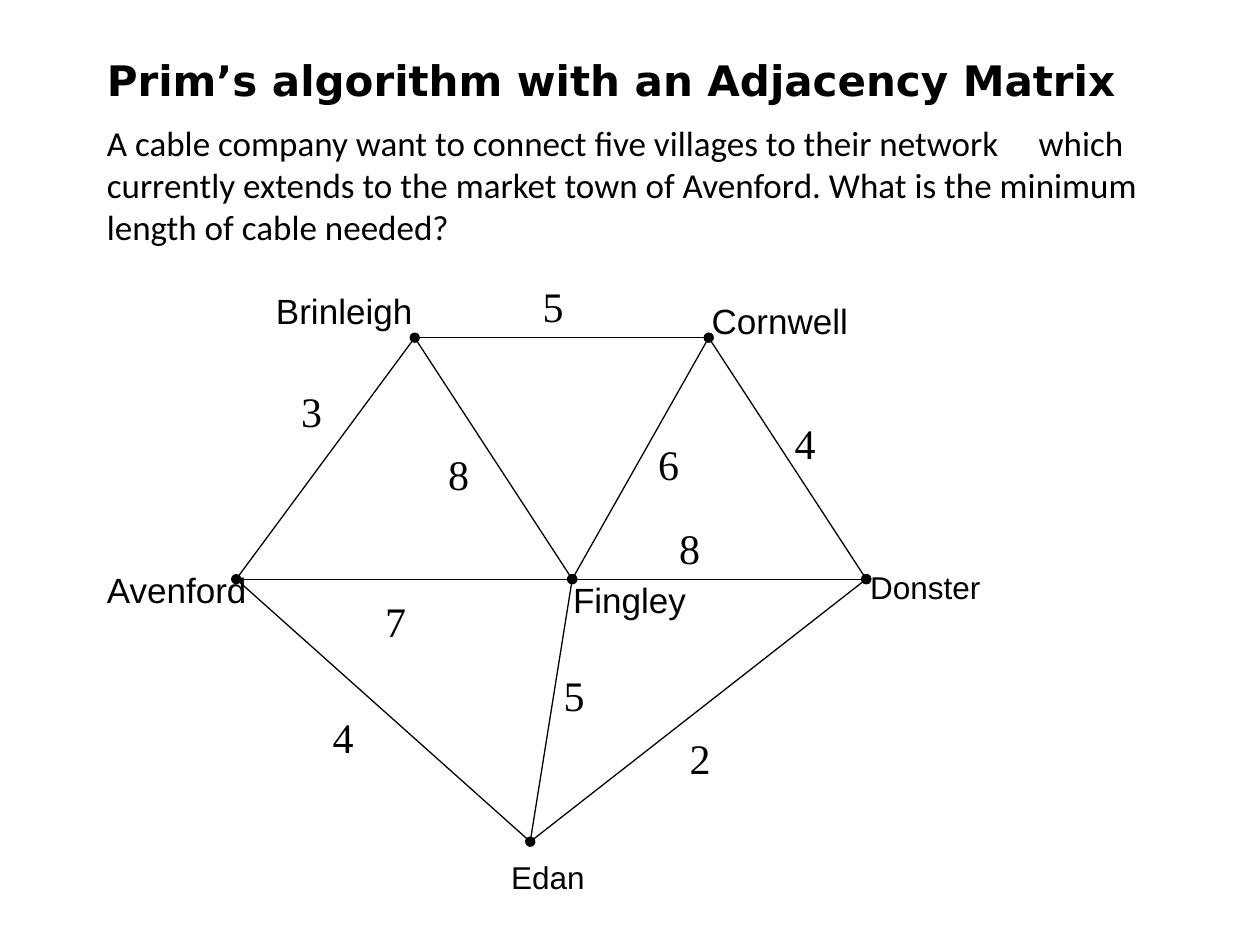
from collections import namedtuple

from lxml.etree import SubElement
from pptx import Presentation
from pptx.dml.color import RGBColor
from pptx.enum.shapes import MSO_CONNECTOR
from pptx.enum.text import MSO_ANCHOR
from pptx.oxml.ns import qn
from pptx.util import Inches, Pt

COLORS = {"ink": "000000", "paper": "FFFFFF"}
Box = namedtuple("Box", "left top width height")

# The network stands on a grid of equal cells
COLUMNS, ROWS = 204, 120
WEIGHT_SIZE = 12

# Village: (node column, row), (label column, row, columns, rows), type size
VILLAGES = {
    "Avenford": ((27, 58), (0, 54.7, 32.2, 10.4), 20),
    "Brinleigh": ((61, 12), (32.2, 1.7, 31, 10.4), 20),
    "Cornwell": ((117, 12), (115.2, 3.6, 34, 10.4), 20),
    "Donster": ((147, 58), (145.4, 54.7, 36.2, 9.6), 18),
    "Edan": ((83, 108), (77, 110, 25, 9.6), 18),
    "Fingley": ((91, 58), (88.8, 56.6, 27.8, 10.4), 20),
}

# Edge: start, end, length, (length column, row), dots at these ends
EDGES = [
    ("Avenford", "Brinleigh", 3, (37, 20), ("head", "tail")),
    ("Brinleigh", "Cornwell", 5, (83, 0), ("tail",)),
    ("Cornwell", "Donster", 4, (131, 26), ("tail",)),
    ("Avenford", "Fingley", 7, (53, 60), ()),
    ("Fingley", "Donster", 8, (109, 46), ()),
    ("Brinleigh", "Fingley", 8, (65, 32), ("tail",)),
    ("Fingley", "Cornwell", 6, (105, 30), ()),
    ("Avenford", "Edan", 4, (43, 82), ()),
    ("Edan", "Fingley", 5, (87, 74), ("head", "tail")),
    ("Edan", "Donster", 2, (111, 86), ("tail",)),
]


def add_text(page, box, text, font, size, bold=False, wrap=True, anchor=MSO_ANCHOR.TOP):
    shape = page.shapes.add_textbox(*(Inches(length) for length in box))
    frame = shape.text_frame
    frame.word_wrap = wrap
    frame.vertical_anchor = anchor
    frame.text = text
    para = frame.paragraphs[0]
    for span in para.runs:
        span.font.name = font
        span.font.size = Pt(size)
        span.font.bold = bold
        span.font.color.rgb = RGBColor.from_string(COLORS["ink"])
    return para


def add_edge(page, start, end, dots):
    points = [Inches(length) for length in (*start, *end)]
    edge = page.shapes.add_connector(MSO_CONNECTOR.STRAIGHT, *points)
    edge.line.width = Pt(0.75)
    edge.line.color.rgb = RGBColor.from_string(COLORS["ink"])
    line = edge.line._get_or_add_ln()
    for dot in dots:
        SubElement(line, qn(f"a:{dot}End"), type="oval")
    SubElement(edge._element.spPr, qn("a:effectLst"))


def draw_heading(page, box):
    add_text(page, box, "Prim’s algorithm with an Adjacency Matrix",
             "DejaVu Sans", 24, bold=True, wrap=False)


def draw_question(page, box):
    para = add_text(
        page, box,
        "A cable company want to connect five villages to their network\twhich "
        "currently extends to the market town of Avenford. What is the minimum "
        "length of cable needed?",
        "Calibri", 20, anchor=MSO_ANCHOR.MIDDLE)
    # One tab stop makes the gap in the first line
    stops = SubElement(para._p.get_or_add_pPr(), qn("a:tabLst"))
    SubElement(stops, qn("a:tab"), pos=str(Inches(box.width * 0.87)), algn="l")


def draw_network(page, box):
    column, row = box.width / COLUMNS, box.height / ROWS

    def place(x, y):
        return box.left + x * column, box.top + y * row

    # Cables
    for start, end, _, _, dots in EDGES:
        add_edge(page, place(*VILLAGES[start][0]), place(*VILLAGES[end][0]), dots)

    # Village names
    for name, (_, (x, y, columns, rows), size) in VILLAGES.items():
        label = Box(*place(x, y), columns * column, rows * row)
        add_text(page, label, name, "Arial", size)

    # Cable lengths
    for _, _, length, spot, _ in EDGES:
        label = Box(*place(*spot), WEIGHT_SIZE * column, WEIGHT_SIZE * row)
        add_text(page, label, str(length), "Times New Roman", 24)


def main():
    deck = Presentation()
    deck.slide_width, deck.slide_height = Inches(10), Inches(7.5)
    page = deck.slides.add_slide(deck.slide_layouts[6])
    page.background.fill.solid()
    page.background.fill.fore_color.rgb = RGBColor.from_string(COLORS["paper"])

    draw_question(page, Box(0.75, 0.84, 8.5, 1.25))
    draw_network(page, Box(0.75, 2.18, 8.5, 5))
    draw_heading(page, Box(0.75, 0.38, 8.26, 0.91))
    deck.save("out.pptx")


if __name__ == "__main__":
    main()
